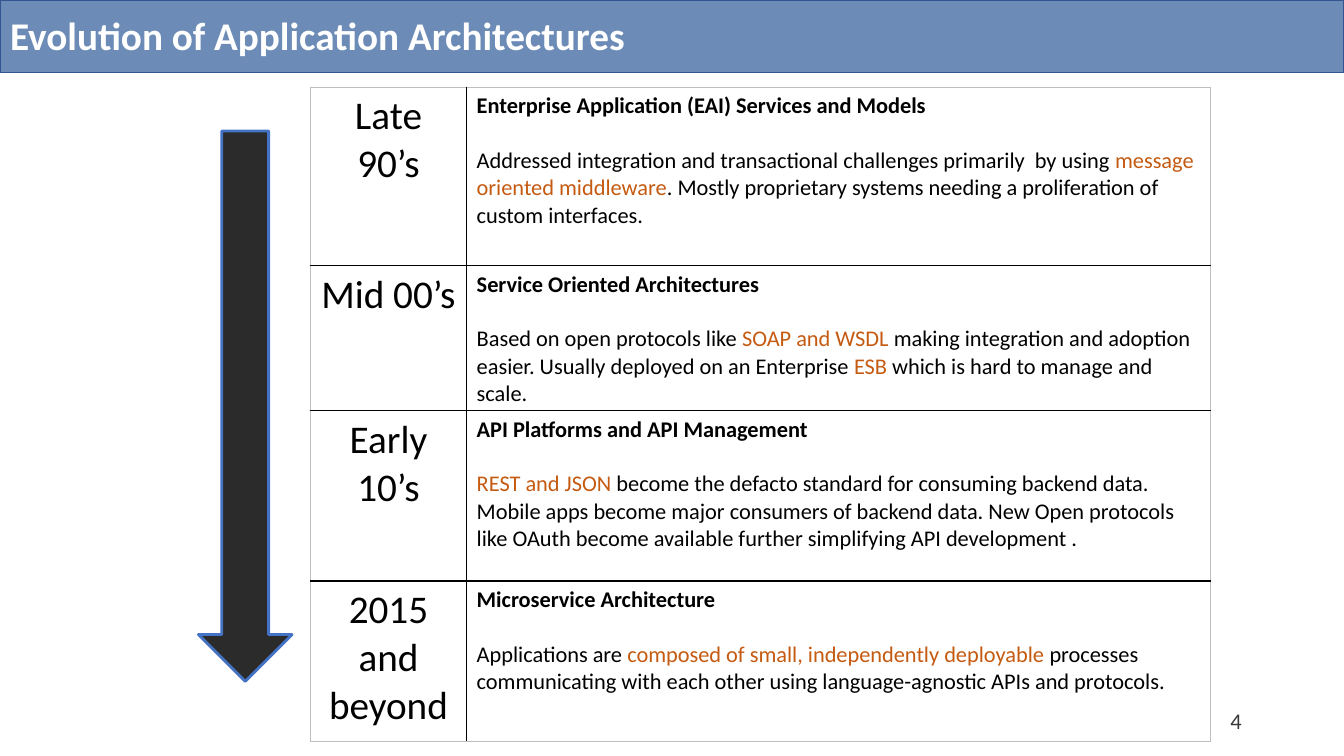
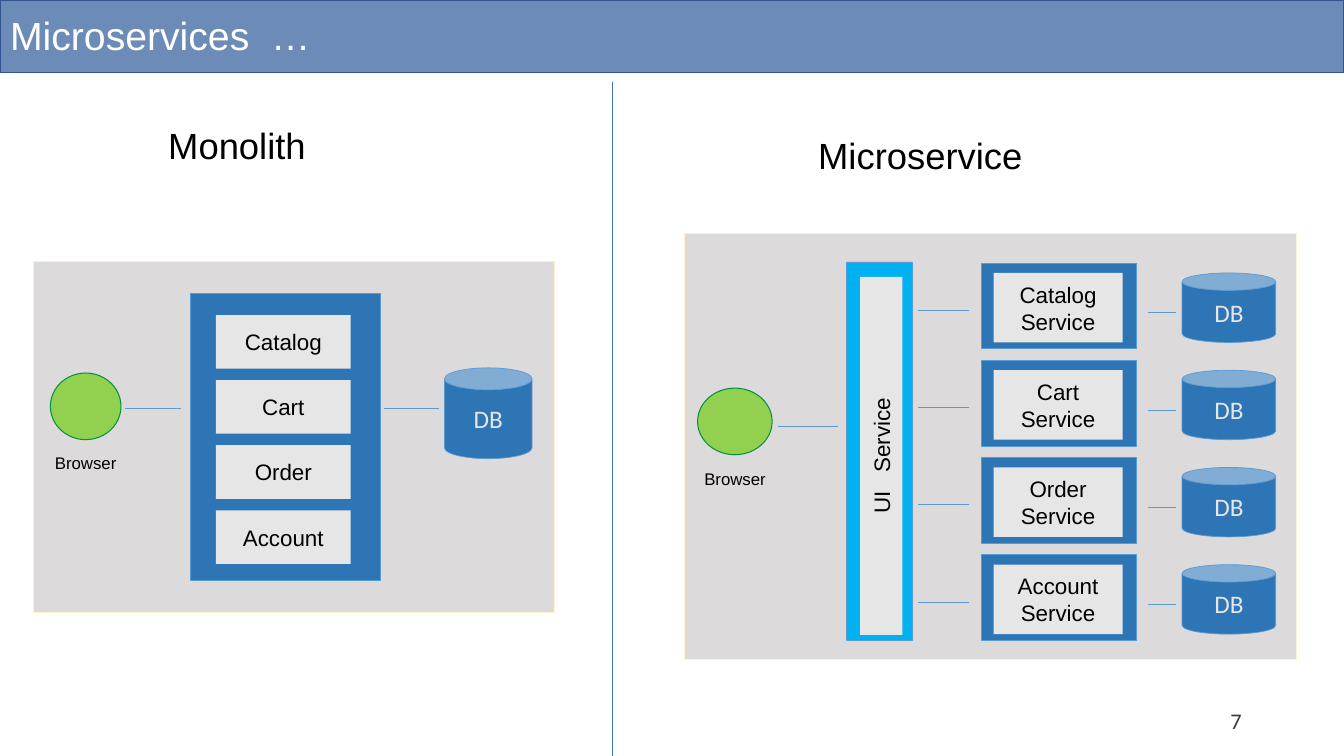
from lxml.etree import SubElement
from pptx import Presentation
from pptx.dml.color import RGBColor
from pptx.enum.shapes import MSO_CONNECTOR, MSO_SHAPE
from pptx.enum.text import MSO_ANCHOR, PP_ALIGN
from pptx.oxml.ns import qn
from pptx.util import Cm, Pt

WHITE = RGBColor(0xFF, 0xFF, 0xFF)
BLACK = RGBColor(0x00, 0x00, 0x00)
BAND = RGBColor(0x6C, 0x8B, 0xB6)
BAND_EDGE = RGBColor(0x32, 0x54, 0x91)
PAGE_GRAY = RGBColor(0x3B, 0x38, 0x38)
ORANGE = RGBColor(0xC5, 0x5A, 0x11)
CHARCOAL = RGBColor(0x2B, 0x2B, 0x2B)
ACCENT = RGBColor(0x44, 0x72, 0xC4)
PANEL = RGBColor(0xDC, 0xDA, 0xDA)
PANEL_EDGE = RGBColor(0xFF, 0xF2, 0xCC)
BLUE = RGBColor(0x2E, 0x75, 0xB6)
LIGHT_BLUE = RGBColor(0x5B, 0x9B, 0xD5)
CYAN = RGBColor(0x00, 0xB0, 0xF0)
BOX_GRAY = RGBColor(0xE6, 0xE6, 0xE6)
DB_TEXT = RGBColor(0xE7, 0xE6, 0xE6)
GREEN = RGBColor(0x92, 0xD0, 0x50)
GREEN_EDGE = RGBColor(0x00, 0x93, 0x43)
GRID_GRAY = RGBColor(0xBF, 0xBF, 0xBF)

SLIDE_WIDTH, SLIDE_HEIGHT = 33.87, 19.05
SERVICES = ["Catalog", "Cart", "Order", "Account"]

# Period, heading, and description as (text, highlighted) pieces
ERAS = [
    ("Late 90’s", "Enterprise Application (EAI) Services and Models", [
        ("Addressed integration and transactional challenges primarily  by using ", False),
        ("message oriented middleware", True),
        (". Mostly proprietary systems needing a proliferation of custom interfaces.", False)]),
    ("Mid 00’s", "Service Oriented Architectures", [
        ("Based on open protocols like ", False),
        ("SOAP and WSDL ", True),
        ("making integration and adoption easier. Usually deployed on an Enterprise ", False),
        ("ESB", True),
        (" which is hard to manage and scale.", False)]),
    ("Early 10’s", "API Platforms and API Management", [
        ("REST and JSON ", True),
        ("become the defacto standard for consuming backend data. Mobile apps become "
         "major consumers of backend data. New Open protocols like OAuth become "
         "available further simplifying API development .", False)]),
    ("2015 and beyond", "Microservice Architecture", [
        ("Applications are ", False),
        ("composed of small, independently deployable ", True),
        ("processes communicating with each other using language-agnostic APIs "
         "and protocols.", False)]),
]


def add_run(paragraph, text, size, color=BLACK, font="Arial", bold=False):
    run = paragraph.add_run()
    run.text = text
    run.font.size = Pt(size)
    run.font.name = font
    run.font.bold = bold
    run.font.color.rgb = color


def write_lines(frame, lines, size, color=BLACK, font="Arial", align=PP_ALIGN.CENTER):
    """Write one paragraph per line, vertically centred and without insets."""
    frame.word_wrap = True
    frame.vertical_anchor = MSO_ANCHOR.MIDDLE
    frame.margin_left = frame.margin_right = frame.margin_top = frame.margin_bottom = 0
    for index, line in enumerate(lines):
        paragraph = frame.add_paragraph() if index else frame.paragraphs[0]
        paragraph.alignment = align
        add_run(paragraph, line, size, color, font)


def add_block(shapes, kind, box, fill, edge=None, edge_width=0.5):
    block = shapes.add_shape(kind, *map(Cm, box))
    block.shadow.inherit = False
    block.fill.solid()
    block.fill.fore_color.rgb = fill
    if edge is None:
        block.line.fill.background()
    else:
        block.line.color.rgb = edge
        block.line.width = Pt(edge_width)
    return block


def add_label(shapes, text, box, size, color=BLACK, font="Arial", align=PP_ALIGN.CENTER):
    label = shapes.add_textbox(*map(Cm, box))
    write_lines(label.text_frame, [text], size, color, font, align)


def add_line(shapes, start, end, color=LIGHT_BLUE, width=0.5):
    line = shapes.add_connector(MSO_CONNECTOR.STRAIGHT, *map(Cm, start + end))
    line.line.color.rgb = color
    line.line.width = Pt(width)
    SubElement(line.element.spPr, qn("a:effectLst"))


def add_panel(shapes, box):
    add_block(shapes, MSO_SHAPE.RECTANGLE, box, PANEL, PANEL_EDGE, 0.75)


def add_service_box(shapes, lines, box):
    service = add_block(shapes, MSO_SHAPE.RECTANGLE, box, BOX_GRAY)
    write_lines(service.text_frame, lines, 16)
    return service


def add_database(shapes, box):
    database = add_block(shapes, MSO_SHAPE.CAN, box, BLUE, LIGHT_BLUE)
    write_lines(database.text_frame, ["DB"], 18, DB_TEXT, "Calibri")


def add_browser(shapes, circle, label):
    add_block(shapes, MSO_SHAPE.OVAL, circle, GREEN, GREEN_EDGE, 0.75)
    add_label(shapes, "Browser", label, 12)


def add_titled_slide(prs, title, page, font, bold=False):
    """Add a slide with the shared band, title and page number."""
    slide = prs.slides.add_slide(prs.slide_layouts[5])
    band = add_block(slide.shapes, MSO_SHAPE.RECTANGLE, (0, 0, SLIDE_WIDTH, 1.83),
                     BAND, BAND_EDGE, 1)
    heading = slide.shapes.title
    heading.element.addprevious(band.element)
    heading.left, heading.top = Cm(0), Cm(0.05)
    heading.width, heading.height = Cm(SLIDE_WIDTH), Cm(1.78)
    heading.text_frame.vertical_anchor = MSO_ANCHOR.MIDDLE
    paragraph = heading.text_frame.paragraphs[0]
    paragraph.alignment = PP_ALIGN.LEFT
    paragraph.line_spacing = 0.9
    add_run(paragraph, title, 28, WHITE, font, bold)
    add_label(slide.shapes, page, (23.93, 17.65, 7.36, 1.02), 16, PAGE_GRAY, "Calibri",
              PP_ALIGN.RIGHT)
    return slide


def format_cell(cell, edges):
    """Draw the borders, given as colours by side, on a white cell."""
    properties = cell._tc.get_or_add_tcPr()
    for side in "LRTB":
        border = SubElement(properties, qn(f"a:ln{side}"), w=str(Pt(1)))
        fill = SubElement(border, qn("a:solidFill"))
        SubElement(fill, qn("a:srgbClr"), val=str(edges[side]))
    cell.fill.solid()
    cell.fill.fore_color.rgb = WHITE


def add_era_table(shapes):
    widths, heights = (3.94, 18.75), (4.5, 3.61, 4.29, 4.04)
    table = shapes.add_table(len(ERAS), len(widths), Cm(7.82), Cm(2.2),
                             Cm(sum(widths)), Cm(sum(heights))).table
    table.first_row = table.horz_banding = False
    for column, width in zip(table.columns, widths):
        column.width = Cm(width)
    last = len(ERAS) - 1
    for index, (period, heading, description) in enumerate(ERAS):
        table.rows[index].height = Cm(heights[index])
        period_cell, text_cell = table.rows[index].cells
        horizontal = {"T": BLACK if index else GRID_GRAY,
                      "B": BLACK if index < last else GRID_GRAY}
        format_cell(period_cell, {"L": GRID_GRAY, "R": BLACK, **horizontal})
        format_cell(text_cell, {"L": BLACK, "R": GRID_GRAY, **horizontal})

        paragraph = period_cell.text_frame.paragraphs[0]
        paragraph.alignment = PP_ALIGN.CENTER
        add_run(paragraph, period, 28, font="Calibri")
        frame = text_cell.text_frame
        add_run(frame.paragraphs[0], heading, 16, font="Calibri", bold=True)
        paragraph = frame.add_paragraph()
        paragraph.space_before = Pt(19.5)
        for text, highlighted in description:
            add_run(paragraph, text, 16, ORANGE if highlighted else BLACK, "Calibri")


def add_monolith(shapes):
    add_panel(shapes, (0.84, 6.6, 13.13, 8.84))
    add_block(shapes, MSO_SHAPE.RECTANGLE, (4.8, 7.39, 4.78, 7.24), BLUE, LIGHT_BLUE)
    for index, name in enumerate(SERVICES):
        add_service_box(shapes, [name], (5.44, 7.94 + 1.64 * index, 3.4, 1.35))
    add_browser(shapes, (1.27, 9.4, 1.78, 1.68), (0.46, 11, 3.4, 1.35))
    add_database(shapes, (11.2, 9.27, 2.21, 2.29))
    for start, end in ((3.15, 4.55), (9.68, 11.07)):
        add_line(shapes, (start, 10.3), (end, 10.3))


def add_microservices(shapes):
    add_panel(shapes, (17.25, 5.89, 15.42, 10.72))
    add_browser(shapes, (17.58, 9.78, 1.88, 1.68), (16.71, 11.4, 3.63, 1.35))
    add_line(shapes, (19.61, 10.74), (21.13, 10.74))
    add_block(shapes, MSO_SHAPE.RECTANGLE, (21.34, 6.6, 1.65, 9.53), CYAN, LIGHT_BLUE)
    ui_service = add_service_box(shapes, ["UI   Service"], (17.7, 10.95, 9.02, 1.07))
    ui_service.rotation = 270
    for index, name in enumerate(SERVICES):
        top = 6.63 + 2.45 * index
        add_line(shapes, (23.14, top + 1.19), (24.43, top + 1.19))
        add_block(shapes, MSO_SHAPE.RECTANGLE, (24.74, top, 3.91, 2.16), BLUE, LIGHT_BLUE)
        add_service_box(shapes, [name, "Service"], (25.04, top + 0.25, 3.25, 1.75))
        add_line(shapes, (28.93, top + 1.25), (29.64, top + 1.25))
        add_database(shapes, (29.79, top + 0.25, 2.36, 1.75))


def build_evolution(prs):
    shapes = add_titled_slide(prs, "Evolution of Application Architectures", "4",
                              "Calibri", bold=True).shapes
    add_era_table(shapes)
    add_block(shapes, MSO_SHAPE.DOWN_ARROW, (5, 3.3, 2.36, 13.87), CHARCOAL, ACCENT, 2)


def build_comparison(prs):
    shapes = add_titled_slide(prs, "Microservices  …", "7", "Arial").shapes
    add_label(shapes, "Monolith", (4.24, 3.15, 6.32, 1), 26, align=PP_ALIGN.LEFT)
    add_label(shapes, "Microservice", (20.62, 3.12, 10.5, 1.55), 26, align=PP_ALIGN.LEFT)
    add_monolith(shapes.add_group_shape().shapes)
    add_microservices(shapes.add_group_shape().shapes)
    add_line(shapes, (15.44, 2.06), (15.44, SLIDE_HEIGHT), ACCENT, 1)


def main():
    prs = Presentation()
    prs.slide_width, prs.slide_height = Cm(SLIDE_WIDTH), Cm(SLIDE_HEIGHT)
    build_evolution(prs)
    build_comparison(prs)
    prs.save("out.pptx")


if __name__ == "__main__":
    main()
